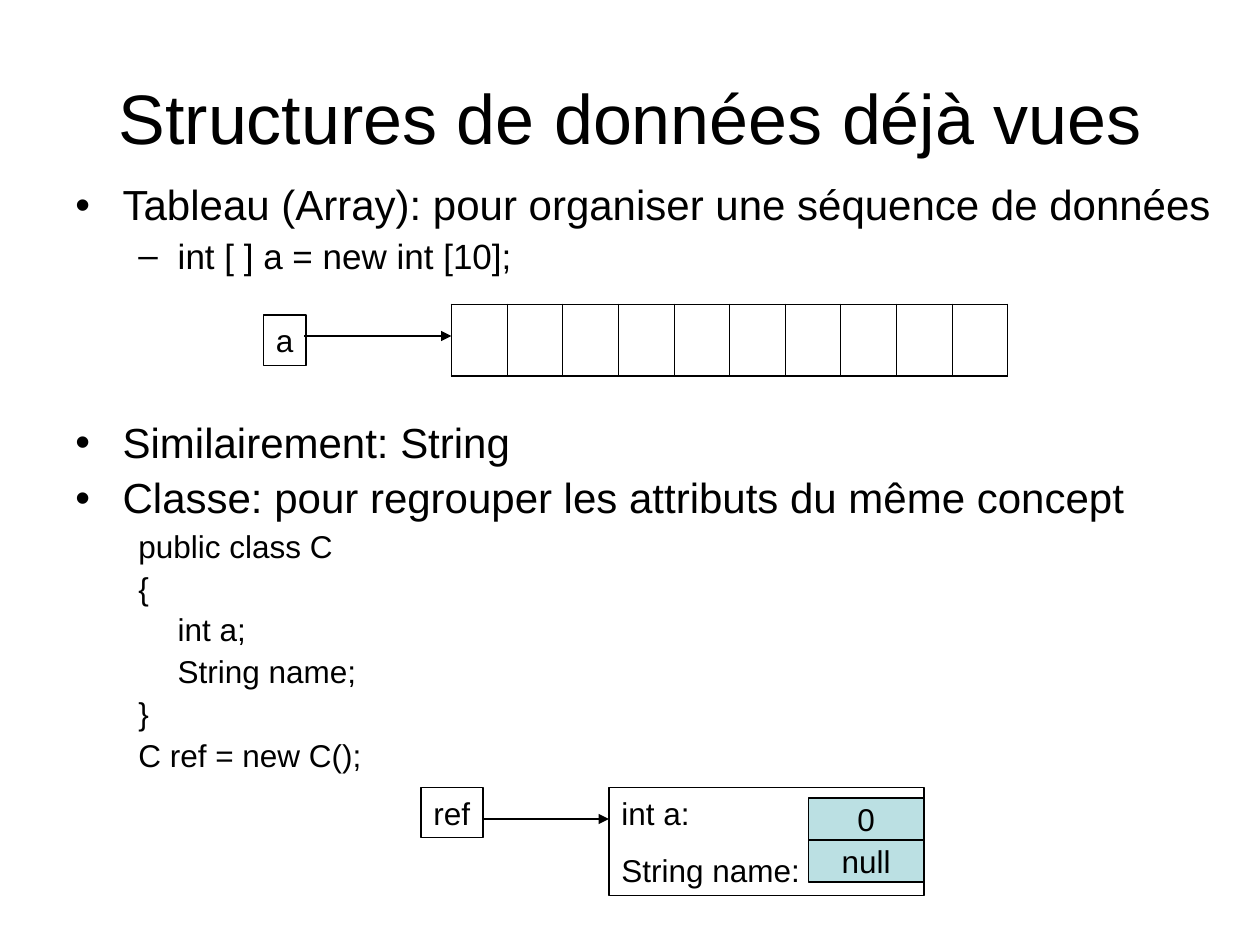
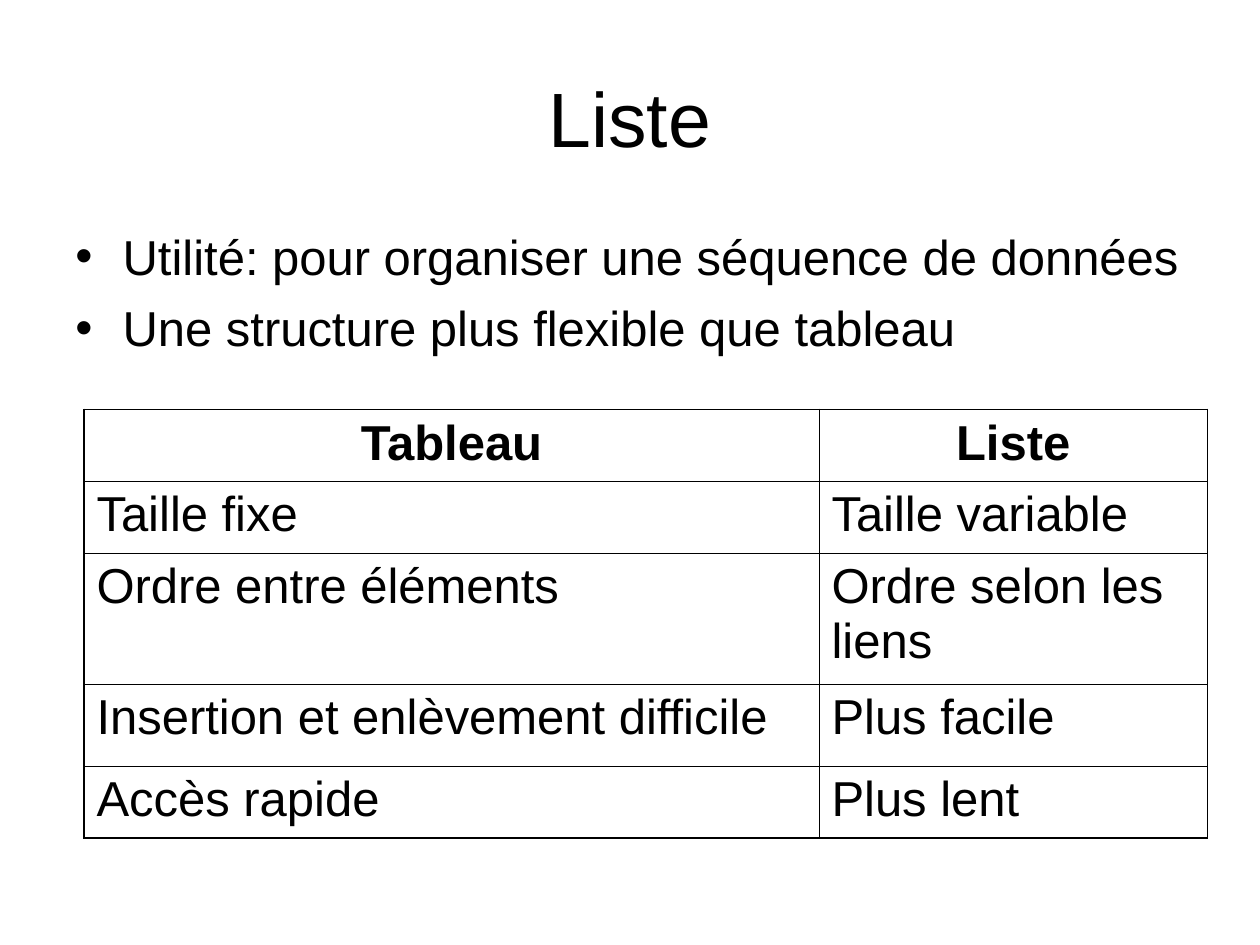
from dataclasses import dataclass

from lxml import etree
from pptx import Presentation
from pptx.dml.color import RGBColor
from pptx.enum.shapes import MSO_CONNECTOR, MSO_SHAPE
from pptx.enum.text import MSO_ANCHOR, PP_ALIGN
from pptx.oxml.ns import qn
from pptx.util import Inches, Pt

RECT = MSO_SHAPE.RECTANGLE
STRAIGHT = MSO_CONNECTOR.STRAIGHT
TOP, MIDDLE = MSO_ANCHOR.TOP, MSO_ANCHOR.MIDDLE
LEFT, CENTER = PP_ALIGN.LEFT, PP_ALIGN.CENTER


@dataclass(frozen=True)
class Theme:
    font: str = "Arial"
    ink: RGBColor = RGBColor(0, 0, 0)
    value: RGBColor = RGBColor(0xBB, 0xE0, 0xE3)
    title: int = 44
    long_title: int = 40
    large: int = 28
    bullet: int = 24
    dash: int = 20
    code: int = 18
    line: float = 0.75
    inner: float = 0.45
    outer: float = 1.08


T = Theme()

prs = Presentation()
prs.slide_width = Inches(10)
prs.slide_height = Inches(7.5)
U = prs.slide_width / 120
TITLE_BOX = (6, 3.6, 108, 15)


def write(tf, lines, size, align=LEFT, before=0, bold=False):
    tf.text = "\n".join(lines)
    for p in tf.paragraphs:
        p.alignment = align
        p.space_before = Pt(before)
        for r in p.runs:
            r.font.name = T.font
            r.font.size = Pt(size)
            r.font.bold = bold
            r.font.color.rgb = T.ink


def add_grid(s, x, y, widths, heights):
    frame = s.shapes.add_table(len(heights), len(widths), round(x * U), round(y * U),
                               round(sum(widths) * U), round(sum(heights) * U))
    table = frame.table
    table.first_row = table.horz_banding = False
    for column, width in zip(table.columns, widths):
        column.width = round(width * U)
    for row, height in zip(table.rows, heights):
        row.height = round(height * U)
    last_row, last_col = len(heights) - 1, len(widths) - 1
    for i, row in enumerate(table.rows):
        for j, cell in enumerate(row.cells):
            cell.fill.background()
            tcPr = cell._tc.get_or_add_tcPr()
            edges = {"a:lnL": j == 0, "a:lnR": j == last_col,
                     "a:lnT": i == 0, "a:lnB": i == last_row}
            for k, (tag, outside) in enumerate(edges.items()):
                ln = etree.Element(qn(tag), w=str(Pt(T.outer if outside else T.inner)))
                fill = etree.SubElement(ln, qn("a:solidFill"))
                etree.SubElement(fill, qn("a:srgbClr"), val=str(T.ink))
                tcPr.insert(k, ln)
    return table


# (text, size, left indent, first line, space before, bullet)
outline = [
    ("Tableau (Array): pour organiser une séquence de données", T.bullet, 4.5, -4.5, 6, "•"),
    ("int [ ] a = new int [10];", T.dash, 9.75, -3.75, 5, "–"),
    ("Similairement: String", T.bullet, 4.5, -4.5, 83, "•"),
    ("Classe: pour regrouper les attributs du même concept", T.bullet, 4.5, -4.5, 6, "•"),
]
for text, indent in [("public class C", 6), ("{", 6), ("int a;", 9.75),
                     ("String name;", 9.75), ("}", 6), ("C ref = new C();", 6)]:
    outline.append((text, T.code, indent, 0, 4.5, None))

points = [(text, T.large, 4.5, -4.5, 7, "•")
          for text in ("Utilité: pour organiser une séquence de données",
                       "Une structure plus flexible que tableau")]

slides = []
for title, title_size, body_box, spacing, body in [
    ("Structures de données déjà vues", T.long_title, (6, 17, 114, 63.36), 0.9, outline),
    ("Liste", T.title, (6, 21, 108, 54), 1.0, points),
]:
    s = prs.slides.add_slide(prs.slide_layouts[6])
    slides.append(s)
    tf = s.shapes.add_textbox(*(round(v * U) for v in TITLE_BOX)).text_frame
    tf.word_wrap = True
    tf.vertical_anchor = MIDDLE
    write(tf, [title], title_size, CENTER)

    tf = s.shapes.add_textbox(*(round(v * U) for v in body_box)).text_frame
    tf.word_wrap = True
    write(tf, [line[0] for line in body], T.bullet)
    for p, (text, size, indent, first, before, bullet) in zip(tf.paragraphs, body):
        p.line_spacing = spacing
        p.space_before = Pt(before)
        p.runs[0].font.size = Pt(size)
        pPr = p._p.get_or_add_pPr()
        pPr.set("marL", str(round(indent * U)))
        pPr.set("indent", str(round(first * U)))
        if bullet:
            color = etree.SubElement(pPr, qn("a:buClr"))
            etree.SubElement(color, qn("a:srgbClr"), val=str(T.ink))
            etree.SubElement(pPr, qn("a:buFont"), typeface=T.font)
            etree.SubElement(pPr, qn("a:buChar"), char=bullet)

structures, comparison = slides

add_grid(structures, 43, 29, [5.3] * 10, [6.84])

for box, lines, fill, wrap in [
    ((25.1, 30, 4.05, 4.8), ["a"], None, False),
    ((40.1, 75, 5.9, 4.8), ["ref"], None, False),
    ((58, 75, 30, 10.3), ["int a:", "String name:"], None, True),
    ((77, 76, 11, 4), ["0"], T.value, False),
    ((77, 80, 11, 4), ["null"], T.value, False),
]:
    sp = structures.shapes.add_shape(RECT, *(round(v * U) for v in box))
    sp.shadow.inherit = False
    sp.line.color.rgb = T.ink
    sp.line.width = Pt(T.line)
    if fill:
        sp.fill.solid()
        sp.fill.fore_color.rgb = fill
    else:
        sp.fill.background()
    tf = sp.text_frame
    tf.word_wrap = wrap
    tf.vertical_anchor = MIDDLE if fill else TOP
    write(tf, lines, T.code, CENTER if fill else LEFT, 11.2 if wrap else 0)

for start, end, y in [(29, 43, 32), (46, 58, 78)]:
    arrow = structures.shapes.add_connector(
        STRAIGHT, round(start * U), round(y * U), round(end * U), round(y * U))
    arrow.line.color.rgb = T.ink
    arrow.line.width = Pt(T.line)
    etree.SubElement(arrow.line._get_or_add_ln(), qn("a:tailEnd"), type="triangle")
    etree.SubElement(arrow._element.spPr, qn("a:effectLst"))

rows = [
    ("Tableau", "Liste"),
    ("Taille fixe", "Taille variable"),
    ("Ordre entre éléments", "Ordre selon les liens"),
    ("Insertion et enlèvement difficile", "Plus facile"),
    ("Accès rapide", "Plus lent"),
]
table = add_grid(comparison, 8, 39, [70, 37], [6.84, 6.84, 12.48, 7.8, 6.84])
for i, row in enumerate(rows):
    for j, text in enumerate(row):
        header = i == 0
        write(table.cell(i, j).text_frame, [text], T.large,
              CENTER if header else LEFT, 7, header)

prs.save("out.pptx")
